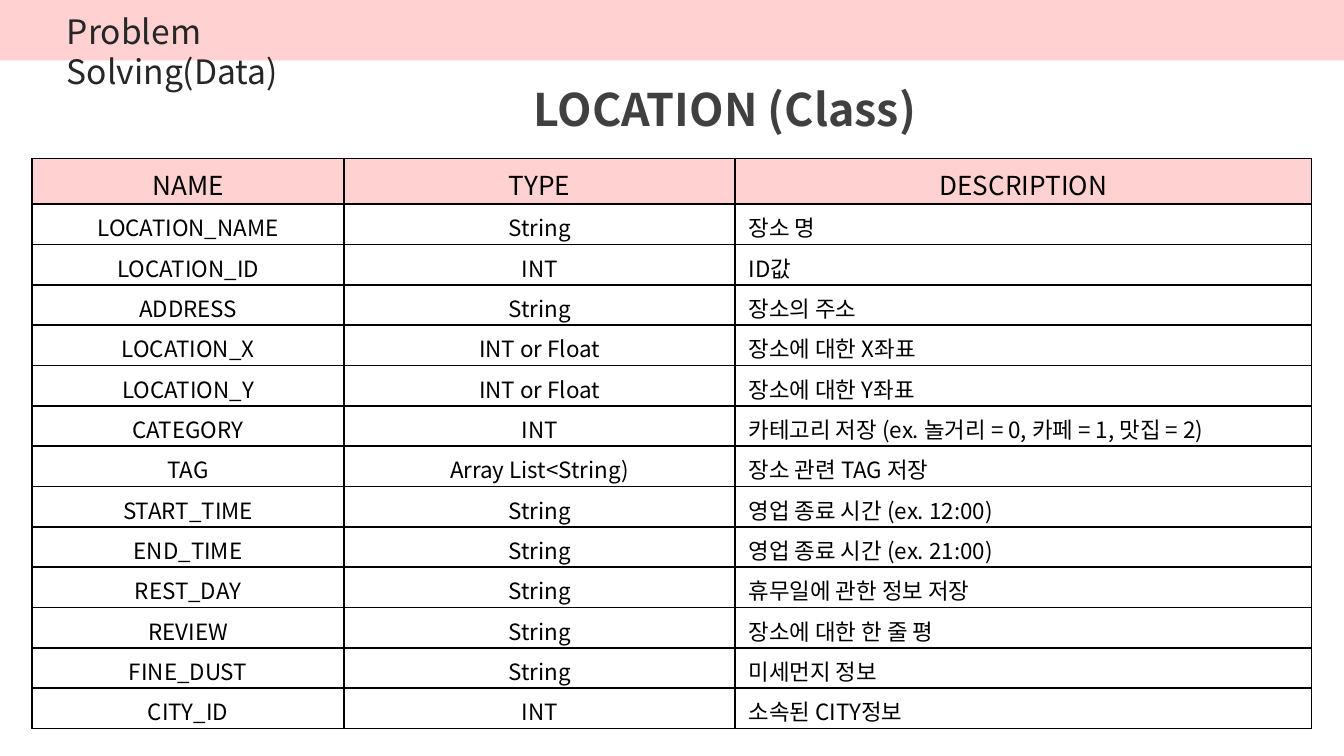
"""Build the slide describing the fields of the LOCATION class."""
from lxml.etree import SubElement
from pptx import Presentation
from pptx.dml.color import RGBColor
from pptx.enum.shapes import MSO_SHAPE
from pptx.enum.text import MSO_ANCHOR, PP_ALIGN
from pptx.oxml.ns import qn
from pptx.util import Inches, Pt

FONT = "Noto Sans CJK KR"
PINK, BLACK = "FFD1D1", "000000"
HEADER_HEIGHT, FIELD_HEIGHT = Inches(0.34), Inches(0.3)
COLUMN_WIDTHS = [2.32, 2.91, 4.29]
FIELDS = [
    ("NAME", "TYPE", "DESCRIPTION"),
    ("LOCATION_NAME", "String", "장소 명"),
    ("LOCATION_ID", "INT", "ID값"),
    ("ADDRESS", "String", "장소의 주소"),
    ("LOCATION_X", "INT or Float", "장소에 대한 X좌표"),
    ("LOCATION_Y", "INT or Float", "장소에 대한 Y좌표"),
    ("CATEGORY", "INT", "카테고리 저장 (ex. 놀거리 = 0, 카페 = 1, 맛집 = 2)"),
    ("TAG", "Array List<String)", "장소 관련 TAG 저장"),
    ("START_TIME", "String", "영업 종료 시간 (ex. 12:00)"),
    ("END_TIME", "String", "영업 종료 시간 (ex. 21:00)"),
    ("REST_DAY", "String", "휴무일에 관한 정보 저장"),
    ("REVIEW", "String", "장소에 대한 한 줄 평"),
    ("FINE_DUST", "String", "미세먼지 정보"),
    ("CITY_ID", "INT", "소속된 CITY정보"),
]


def paint(color_format, color):
    color_format.rgb = RGBColor.from_string(color)


def write(paragraph, text, size, color, bold=False):
    run = paragraph.add_run()
    run.text = text
    run.font.size, run.font.bold, run.font.name = Pt(size), bold, FONT
    run.font.fill.solid()
    paint(run.font.fill.fore_color, color)
    SubElement(run.font._element, qn("a:ea"), typeface=FONT)


deck = Presentation()
deck.slide_width = Inches(10)
deck.slide_height = deck.slide_width * 9 // 16
slide = deck.slides.add_slide(deck.slide_layouts[6])

banner = slide.shapes.add_shape(
    MSO_SHAPE.RECTANGLE, 0, 0, deck.slide_width, int(deck.slide_height * 0.08))
banner.shadow.inherit = False
banner.fill.solid()
paint(banner.fill.fore_color, PINK)
banner.line.fill.background()

for text, left, top, width, height, size, color, bold in [
    ("Problem Solving(Data)", 0.4, 0.03, 2.74, 0.4, 18, "262626", False),
    ("LOCATION (Class)", 3.87, 0.56, 3.34, 0.5, 24, "404040", True),
]:
    heading = slide.shapes.add_textbox(
        Inches(left), Inches(top), Inches(width), Inches(height)).text_frame
    heading.word_wrap = True
    write(heading.paragraphs[0], text, size, color, bold)

field_table = slide.shapes.add_table(
    len(FIELDS), len(COLUMN_WIDTHS), Inches(0.24), Inches(1.18),
    Inches(sum(COLUMN_WIDTHS)),
    HEADER_HEIGHT + FIELD_HEIGHT * (len(FIELDS) - 1)).table
for column, width in zip(field_table.columns, COLUMN_WIDTHS):
    column.width = Inches(width)

for row, field in enumerate(FIELDS):
    is_header = row == 0
    field_table.rows[row].height = HEADER_HEIGHT if is_header else FIELD_HEIGHT
    for col, text in enumerate(field):
        cell = field_table.cell(row, col)
        cell.vertical_anchor = MSO_ANCHOR.MIDDLE
        cell.margin_top, cell.margin_bottom = Inches(0.05), Inches(0.01)
        paragraph = cell.text_frame.paragraphs[0]
        centred = is_header or col < 2
        paragraph.alignment = PP_ALIGN.CENTER if centred else PP_ALIGN.LEFT
        write(paragraph, text, 14 if is_header else 12, BLACK)
        properties = cell._tc.get_or_add_tcPr()
        for side in ("a:lnL", "a:lnR", "a:lnT", "a:lnB"):
            border = SubElement(properties, qn(side), w=str(Pt(1)))
            SubElement(SubElement(border, qn("a:solidFill")), qn("a:srgbClr"), val=BLACK)
        if is_header:
            cell.fill.solid()
            paint(cell.fill.fore_color, PINK)
        else:
            cell.fill.background()

deck.save("out.pptx")
